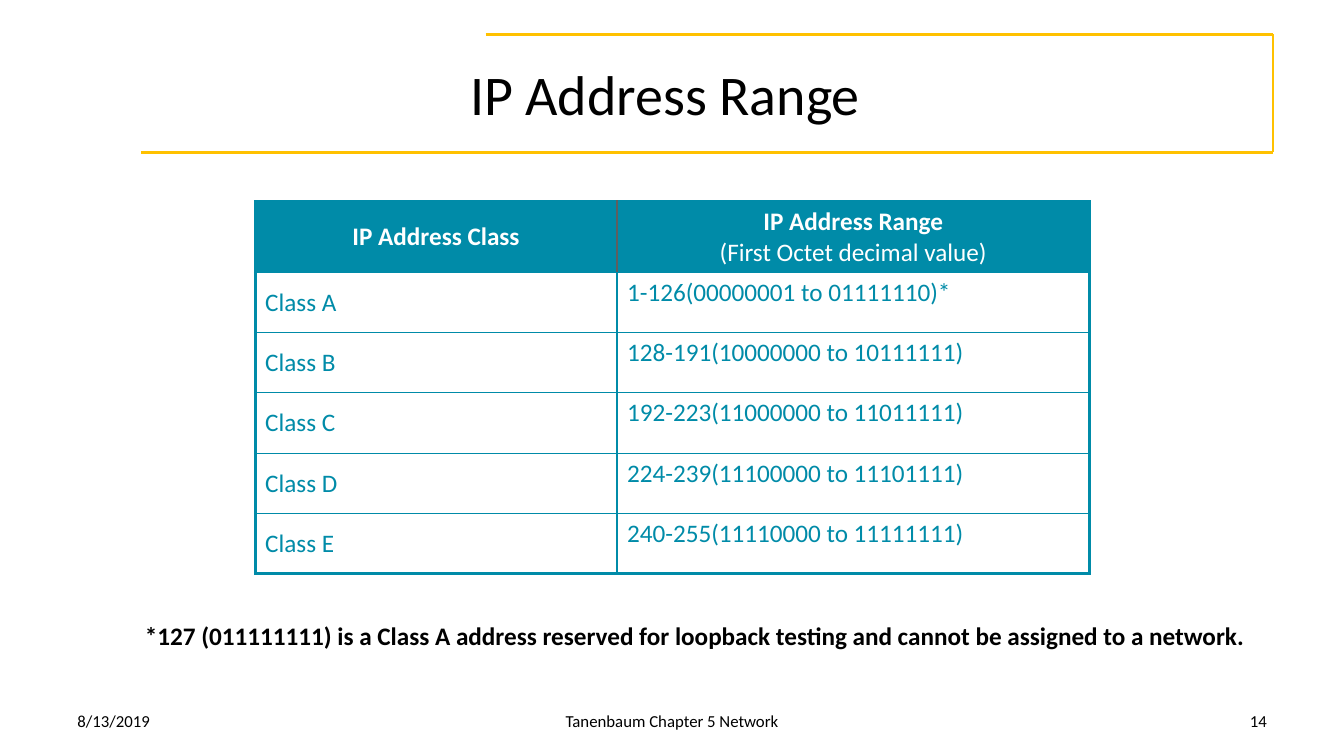
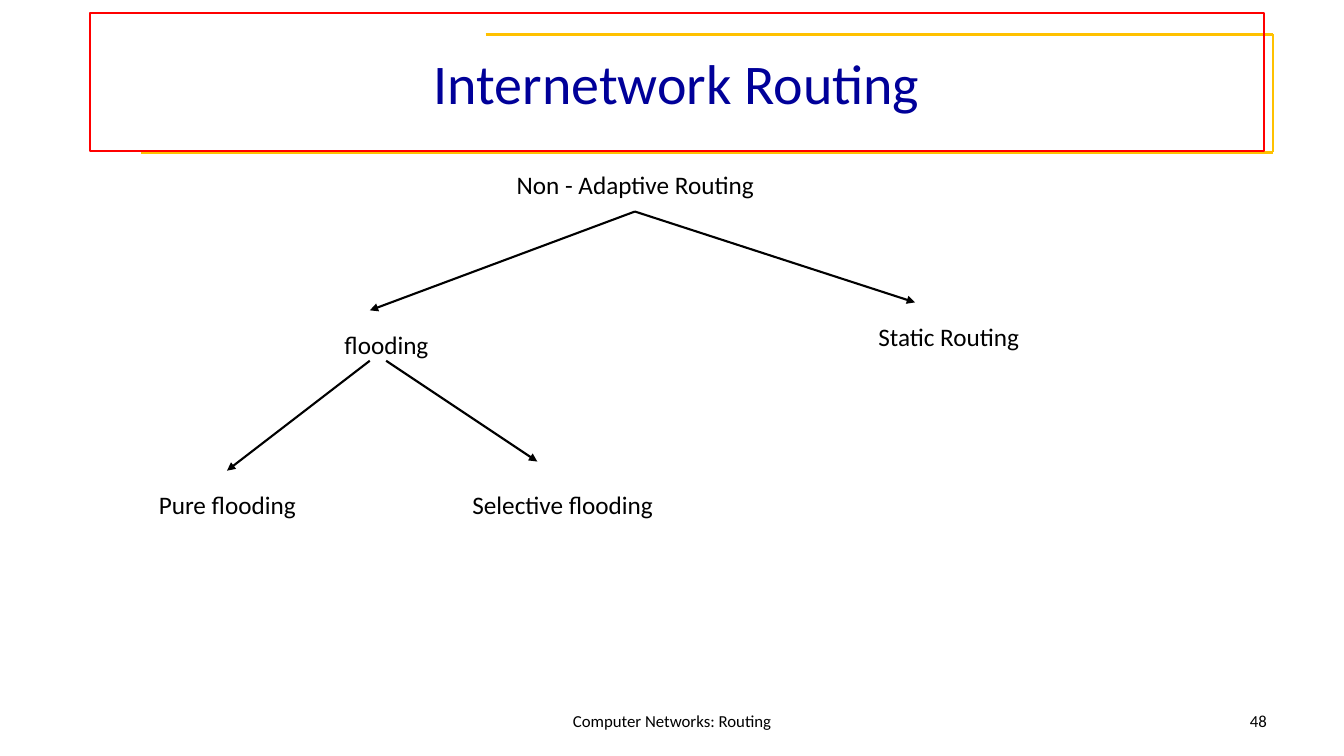
from dataclasses import dataclass

from lxml import etree
from pptx import Presentation
from pptx.dml.color import RGBColor
from pptx.enum.shapes import MSO_CONNECTOR, MSO_SHAPE
from pptx.enum.text import MSO_ANCHOR, PP_ALIGN
from pptx.oxml.ns import qn
from pptx.util import Cm, Pt

LEFT, CENTER, RIGHT = PP_ALIGN.LEFT, PP_ALIGN.CENTER, PP_ALIGN.RIGHT
TOP, MIDDLE = MSO_ANCHOR.TOP, MSO_ANCHOR.MIDDLE
RECTANGLE = MSO_SHAPE.RECTANGLE
STRAIGHT = MSO_CONNECTOR.STRAIGHT


@dataclass(frozen=True)
class Theme:
    font: str = "Calibri"
    black: str = "000000"
    white: str = "FFFFFF"
    gold: str = "FFC100"
    red: str = "FF0000"
    navy: str = "000099"
    teal: str = "008BA8"
    gray: str = "5F5F5F"
    title_size: int = 40
    body_size: int = 18
    footer_size: int = 12


theme = Theme()


def write(frame, text, size, color=theme.black, align=LEFT, anchor=MIDDLE,
          bold=False, wrap=True):
    """Fill a text frame, one paragraph per line of text."""
    frame.word_wrap = wrap
    frame.vertical_anchor = anchor
    frame.text = text
    for para in frame.paragraphs:
        para.alignment = align
        font = para.font
        font.name, font.size, font.bold = theme.font, Pt(size), bold
        font.color.rgb = RGBColor.from_string(color)


def draw_line(page, start, end, color, width, arrow=False):
    """Draw a straight line between two points given in centimetres."""
    line = page.shapes.add_connector(STRAIGHT, *map(Cm, start + end))
    line.line.color.rgb = RGBColor.from_string(color)
    line.line.width = Pt(width)
    properties = line.line._get_or_add_ln()
    if arrow:
        etree.SubElement(properties, qn("a:tailEnd"), type="triangle")
    etree.SubElement(properties.getparent(), qn("a:effectLst"))


deck = Presentation()
deck.slide_width, deck.slide_height = Cm(33.87), Cm(19.05)
blank_layout = deck.slide_layouts[6]

# Shared parts: gold frame, title and footer
frame_points = [(12.24, 0.86), (32.08, 0.86), (32.08, 3.84), (3.56, 3.84)]
footer_slots = [(1.7, 7.9, LEFT), (11.58, 10.72, CENTER), (24.28, 7.9, RIGHT)]
page_settings = [
    ("IP Address Range", (1.52, 0.76, 30.48, 3.18), theme.black, None,
     ("8/13/2019", "Tanenbaum Chapter 5 Network", "14")),
    ("Internetwork Routing", (2.26, 0.33, 29.59, 3.48), theme.navy, theme.red,
     ("", "Computer Networks: Routing", "48")),
]
pages = []
for title, place, title_color, outline, footers in page_settings:
    page = deck.slides.add_slide(blank_layout)
    pages.append(page)
    for start, end in zip(frame_points, frame_points[1:]):
        draw_line(page, start, end, theme.gold, 2)
    for text, (left, width, align) in zip(footers, footer_slots):
        if text:
            box = page.shapes.add_textbox(Cm(left), Cm(17.65), Cm(width), Cm(1.02))
            write(box.text_frame, text, theme.footer_size, align=align)
    box = page.shapes.add_textbox(*map(Cm, place))
    write(box.text_frame, title, theme.title_size, title_color, CENTER)
    if outline:
        box.line.color.rgb = RGBColor.from_string(outline)
        box.line.width = Pt(1.5)

address_page, routing_page = pages

# Address table
rows = [
    ("IP Address Class", "IP Address Range\n(First Octet decimal value)"),
    ("Class A", "1-126(00000001 to 01111110)*"),
    ("Class B", "128-191(10000000 to 10111111)"),
    ("Class C", "192-223(11000000 to 11011111)"),
    ("Class D", "224-239(11100000 to 11101111)"),
    ("Class E", "240-255(11110000 to 11111111)"),
]
column_widths = [9.12, 11.91]
row_heights = [1.78] + [1.52] * (len(rows) - 1)
table = address_page.shapes.add_table(
    len(rows), len(column_widths), Cm(6.43), Cm(5.08),
    Cm(sum(column_widths)), Cm(sum(row_heights))).table
table.first_row = table.horz_banding = False
for column, width in zip(table.columns, column_widths):
    column.width = Cm(width)
for row, height in zip(table.rows, row_heights):
    row.height = Cm(height)

for row_index, row in enumerate(rows):
    header = row_index == 0
    for column_index, text in enumerate(row):
        cell = table.cell(row_index, column_index)
        first_column = column_index == 0
        anchor = MIDDLE if header or first_column else TOP
        write(cell.text_frame, text, theme.body_size,
              theme.white if header else theme.teal,
              CENTER if header else LEFT, anchor, bold=header)
        cell.vertical_anchor = anchor

        # Thick outer borders, thin inner ones, gray between the headers
        outer_sides = {"L": first_column, "R": not first_column,
                       "T": header, "B": row_index == len(rows) - 1}
        cell_properties = cell._tc.get_or_add_tcPr()
        for side, outer in outer_sides.items():
            divider = header and side in "LR" and not outer
            border = etree.SubElement(cell_properties, qn(f"a:ln{side}"),
                                      w=str(Pt(2.25 if outer else 1)))
            fill = etree.SubElement(border, qn("a:solidFill"))
            etree.SubElement(fill, qn("a:srgbClr"),
                             val=theme.gray if divider else theme.teal)
        if header:
            cell.fill.solid()
            cell.fill.fore_color.rgb = RGBColor.from_string(theme.teal)
        else:
            cell.fill.background()
table.cell(0, 1).text_frame.paragraphs[1].font.bold = False

# Footnote
box = address_page.shapes.add_textbox(Cm(3.4), Cm(15.57), Cm(28.85), Cm(0.99))
write(box.text_frame,
      "*127 (011111111) is a Class A address reserved for loopback testing "
      "and cannot be assigned to a network.",
      theme.body_size, anchor=TOP, bold=True)
box.text_frame.paragraphs[0].line_spacing = 0.95

# Routing tree: labels
nodes = [
    ("Non - Adaptive Routing", 11.35, 3.94, 1.4),
    ("flooding", 5.08, 7.82, 1.7),
    ("Static Routing", 19.25, 7.82, 1.3),
    ("Pure flooding", 1.07, 11.86, 1.7),
    ("Selective flooding", 9.52, 11.86, 1.7),
]
for text, left, top, height in nodes:
    node = routing_page.shapes.add_shape(
        RECTANGLE, Cm(left), Cm(top), Cm(9.32), Cm(height))
    node.shadow.inherit = False
    node.fill.solid()
    node.fill.fore_color.rgb = RGBColor.from_string(theme.white)
    node.line.color.rgb = RGBColor.from_string(theme.white)
    node.line.width = Pt(0.75)
    write(node.text_frame, text, theme.body_size, align=CENTER, wrap=False)

# Routing tree: arrows
arrows = [
    ((16, 5.33), (9.32, 7.82)),
    ((16, 5.33), (23.06, 7.62)),
    ((9.32, 9.09), (5.72, 11.86)),
    ((9.73, 9.09), (13.54, 11.63)),
]
for start, end in arrows:
    draw_line(routing_page, start, end, theme.black, 1.5, arrow=True)

deck.save("out.pptx")
